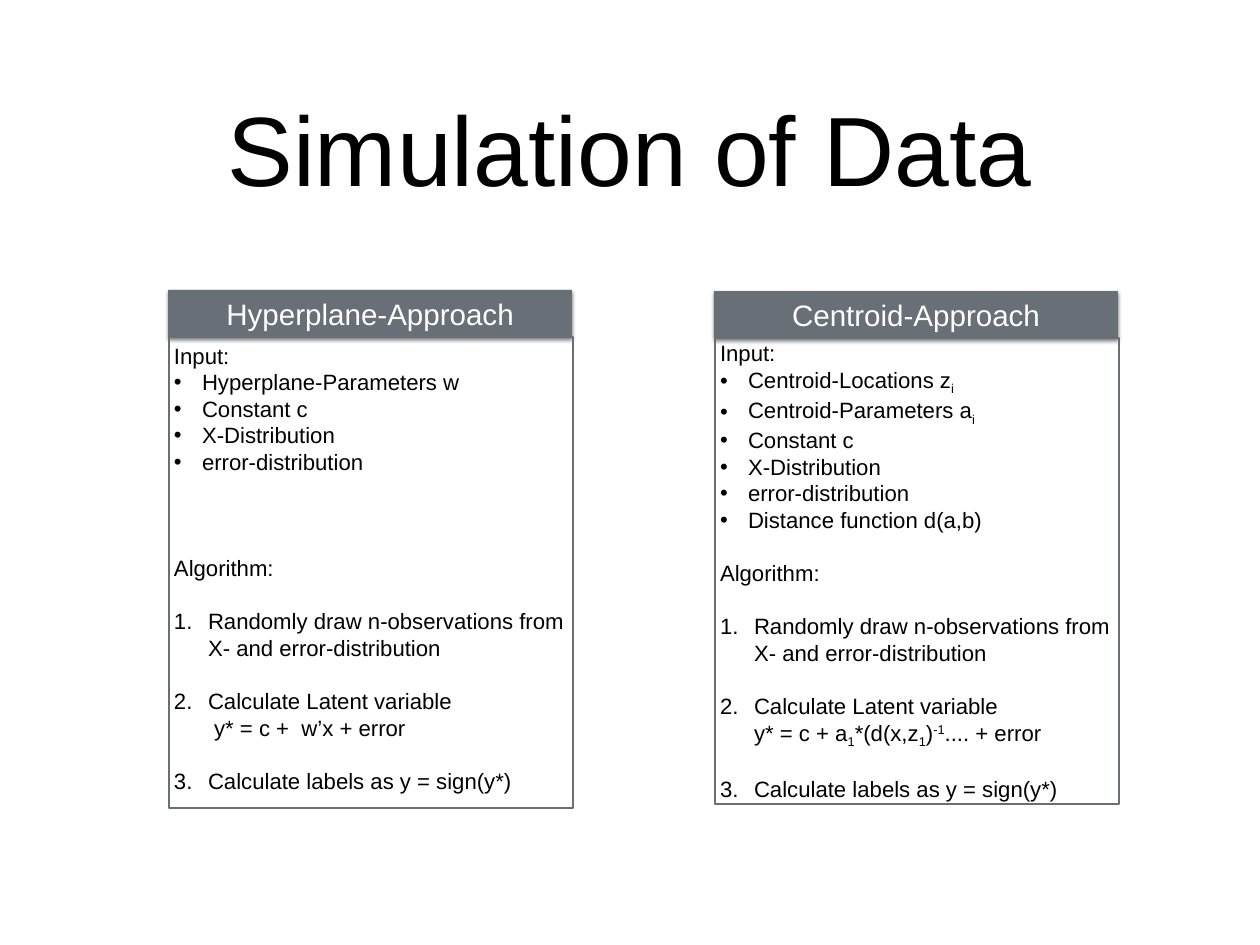
from lxml import etree
from pptx import Presentation
from pptx.dml.color import RGBColor
from pptx.enum.shapes import MSO_SHAPE
from pptx.enum.text import MSO_ANCHOR, PP_ALIGN
from pptx.oxml.ns import qn
from pptx.util import Pt

RECT = MSO_SHAPE.RECTANGLE
TOP, MIDDLE = MSO_ANCHOR.TOP, MSO_ANCHOR.MIDDLE
LEFT, CENTER = PP_ALIGN.LEFT, PP_ALIGN.CENTER
PX = 10320
FONT, GREY, BLACK, WHITE = "Arial", "686F76", "000000", "FFFFFF"
SUB, SUPER = -25000, 30000
LINE_PT = 21.6
BULLET, NUMBER = "bullet", "number"
INDENT = {BULLET: 28, NUMBER: 34}

TITLE = "Simulation of Data"
DRAW = "Randomly draw n-observations from X- and error-distribution"
LABELS = "Calculate labels as y = sign(y*)"

HYPERPLANE = [
    (None, 0, "Input:"),
    (BULLET, 0, "Hyperplane-Parameters w"),
    (BULLET, 0, "Constant c"),
    (BULLET, 0, "X-Distribution"),
    (BULLET, 0, "error-distribution"),
    (None, 3, "Algorithm:"),
    (NUMBER, 1, DRAW),
    (NUMBER, 1, "Calculate Latent variable\n y* = c +  w’x + error"),
    (NUMBER, 1, LABELS),
]
CENTROID = [
    (None, 0, "Input:"),
    (BULLET, 0, [("Centroid-Locations z", 0), ("i", SUB)]),
    (BULLET, 0, [("Centroid-Parameters a", 0), ("i", SUB)]),
    (BULLET, 0, "Constant c"),
    (BULLET, 0, "X-Distribution"),
    (BULLET, 0, "error-distribution"),
    (BULLET, 0, "Distance function d(a,b)"),
    (None, 1, "Algorithm:"),
    (NUMBER, 1, DRAW),
    (NUMBER, 1, [("Calculate Latent variable\ny* = c + a", 0), ("1", SUB), ("*(d(x,z", 0),
                 ("1", SUB), (")", 0), ("-1", SUPER), (".... + error", 0)]),
    (NUMBER, 1, LABELS),
]
PANELS = [
    ("Hyperplane-Approach", HYPERPLANE, 168, 290, 471, TOP),
    ("Centroid-Approach", CENTROID, 714, 291, 466, MIDDLE),
]
PANEL_W, HEADER_H = 404, 47


def rgb(value):
    return RGBColor.from_string(value)


def write(p, text, size, color=BLACK, align=LEFT, kind=None, gap=0):
    p.alignment = align
    p.space_before = Pt(gap)
    if kind:
        pPr = p._p.get_or_add_pPr()
        pPr.set("marL", str(INDENT[kind] * PX))
        pPr.set("indent", str(-INDENT[kind] * PX))
        if kind == BULLET:
            etree.SubElement(pPr, qn("a:buFont"), typeface=FONT)
            etree.SubElement(pPr, qn("a:buChar"), char="•")
        else:
            etree.SubElement(pPr, qn("a:buAutoNum"), type="arabicPeriod")
    runs = [(text, 0)] if isinstance(text, str) else text
    for content, baseline in runs:
        for i, part in enumerate(content.split("\n")):
            if i:
                p.add_line_break()
            r = p.add_run()
            r.text = part
            r.font.name = FONT
            r.font.size = Pt(size)
            r.font.color.rgb = rgb(color)
            if baseline:
                r._r.get_or_add_rPr().set("baseline", str(baseline))


def set_frame(s, anchor, inset):
    tf = s.text_frame
    tf.word_wrap = True
    tf.vertical_anchor = anchor
    tf.margin_left = tf.margin_right = tf.margin_top = tf.margin_bottom = inset * PX
    return tf


def add_rect(slide, x, y, w, h, fill=None, line=None):
    s = slide.shapes.add_shape(RECT, x * PX, y * PX, w * PX, h * PX)
    s.shadow.inherit = False
    if fill:
        s.fill.solid()
        s.fill.fore_color.rgb = rgb(fill)
    else:
        s.fill.background()
    if line:
        s.line.color.rgb = rgb(line)
        s.line.width = Pt(1)
    else:
        s.line.fill.background()
    return s


def add_shadow(s):
    effects = s._element.spPr.find(qn("a:effectLst"))
    shadow = etree.SubElement(effects, qn("a:outerShdw"), blurRad=str(Pt(3)),
                              dist=str(Pt(2)), dir="5400000", rotWithShape="0")
    color = etree.SubElement(shadow, qn("a:srgbClr"), val=BLACK)
    etree.SubElement(color, qn("a:alpha"), val="50000")


def add_panel(slide, heading, lines, x, y, body_h, anchor):
    header = add_rect(slide, x, y, PANEL_W, HEADER_H, fill=GREY)
    add_shadow(header)
    tf = set_frame(header, MIDDLE, 5)
    write(tf.paragraphs[0], heading, 24, color=WHITE, align=CENTER)

    body = add_rect(slide, x + 1, y + HEADER_H, PANEL_W, body_h, line=GREY)
    tf = set_frame(body, anchor, 5)
    for i, (kind, empty, text) in enumerate(lines):
        p = tf.add_paragraph() if i else tf.paragraphs[0]
        write(p, text, 18, kind=kind, gap=empty * LINE_PT)


def main():
    prs = Presentation()
    prs.slide_width, prs.slide_height = 1260 * PX, 945 * PX
    slide = prs.slides.add_slide(prs.slide_layouts[6])
    title = slide.shapes.add_textbox(92 * PX, 43 * PX, 1076 * PX, 209 * PX)
    tf = set_frame(title, MIDDLE, 0)
    write(tf.paragraphs[0], TITLE, 80, align=CENTER)
    for panel in PANELS:
        add_panel(slide, *panel)
    prs.save("out.pptx")


if __name__ == "__main__":
    main()
